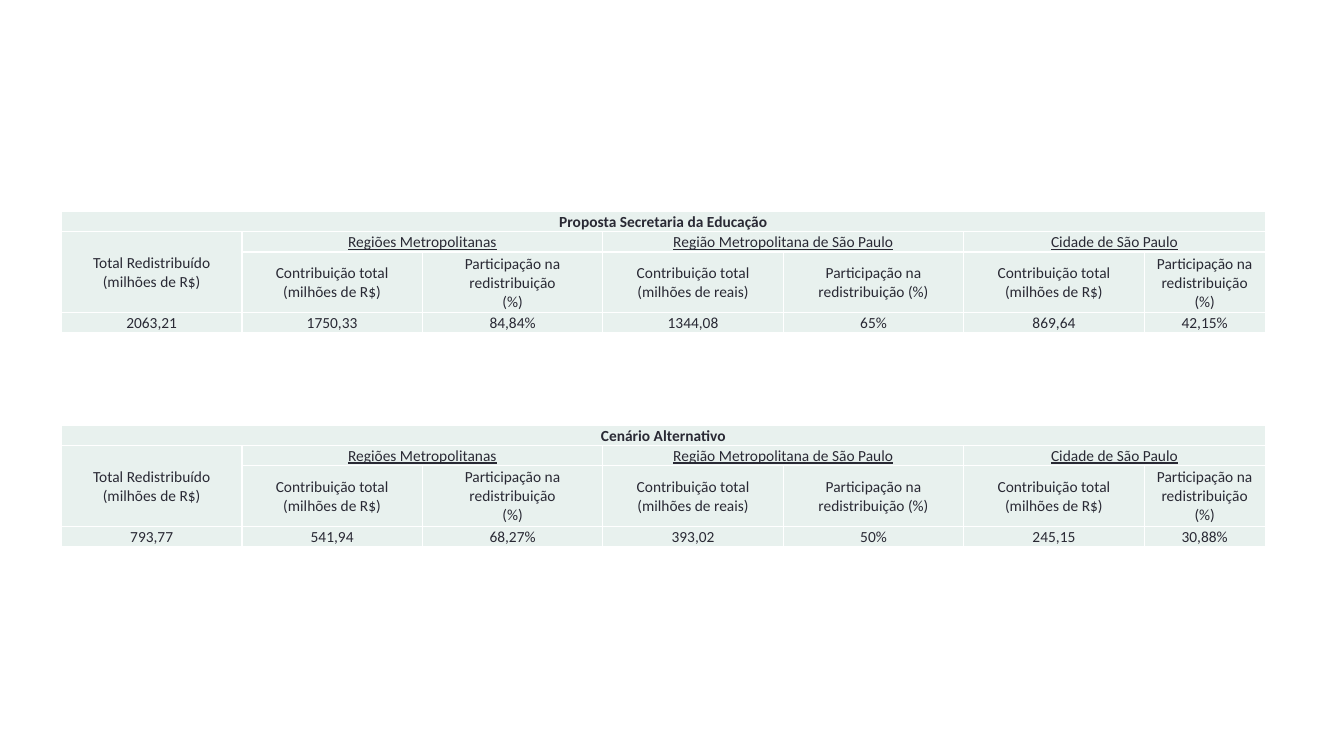
from dataclasses import dataclass

from lxml.etree import SubElement
from pptx import Presentation
from pptx.dml.color import RGBColor
from pptx.enum.text import MSO_ANCHOR, PP_ALIGN
from pptx.oxml.ns import qn
from pptx.util import Inches, Pt


@dataclass(frozen=True)
class Theme:
    """Hold the colours, font and sizes of the slide."""
    font: str = "Calibri"
    size: int = 11
    text: str = "292934"
    fill: str = "E8F1EE"
    border: str = "FFFFFF"
    border_width: int = 1


THEME = Theme()
COL_WIDTHS = [1.79] * 6 + [1.2]
ROW_HEIGHTS = [0.2, 0.2, 0.6, 0.2]
TOTAL = "Total Redistribuído\n(milhões de R$)"
REGIONS = ["Regiões Metropolitanas", "Região Metropolitana de São Paulo", "Cidade de São Paulo"]
CONTRIBUTION = "Contribuição total\n(milhões de R$)"
SHARE = "Participação na redistribuição\n(%)"
MEASURES = [
    CONTRIBUTION, SHARE,
    "Contribuição total\n(milhões de reais)", "Participação na redistribuição (%)",
    CONTRIBUTION, SHARE,
]
SCENARIOS = [
    (2.1, "Proposta Secretaria da Educação",
     ["2063,21", "1750,33", "84,84%", "1344,08", "65%", "869,64", "42,15%"]),
    (4.22, "Cenário Alternativo",
     ["793,77", "541,94", "68,27%", "393,02", "50%", "245,15", "30,88%"]),
]


def style_cell(cell):
    """Give a cell its borders, fill and margins."""
    tc_pr = cell._tc.get_or_add_tcPr()
    for side in ("lnL", "lnR", "lnT", "lnB"):
        ln = SubElement(tc_pr, qn(f"a:{side}"), w=str(Pt(THEME.border_width)))
        SubElement(SubElement(ln, qn("a:solidFill")), qn("a:srgbClr"), val=THEME.border)
    cell.fill.solid()
    cell.fill.fore_color.rgb = RGBColor.from_string(THEME.fill)
    cell.margin_left = cell.margin_right = cell.margin_top = Inches(0.01)
    cell.margin_bottom = 0


def write_cell(cell, text, anchor=MSO_ANCHOR.BOTTOM, bold=False, underline=False):
    """Write centred text in a cell, with a line break at each newline."""
    cell.vertical_anchor = anchor
    p = cell.text_frame.paragraphs[0]
    p.alignment = PP_ALIGN.CENTER
    for i, line in enumerate(text.split("\n")):
        if i:
            p.add_line_break()
        r = p.add_run()
        r.text = line
        r.font.name = THEME.font
        r.font.size = Pt(THEME.size)
        r.font.bold = bold
        r.font.underline = underline
        r.font.color.rgb = RGBColor.from_string(THEME.text)


def add_scenario_table(slide, top, title, values):
    """Add the table of one redistribution scenario."""
    frame = slide.shapes.add_table(
        len(ROW_HEIGHTS), len(COL_WIDTHS), Inches(0.61), Inches(top),
        Inches(sum(COL_WIDTHS)), Inches(sum(ROW_HEIGHTS)))
    table = frame.table
    table.first_row = table.horz_banding = False
    for column, width in zip(table.columns, COL_WIDTHS):
        column.width = Inches(width)
    for row, height in zip(table.rows, ROW_HEIGHTS):
        row.height = Inches(height)
    for cell in table.iter_cells():
        style_cell(cell)

    table.cell(0, 0).merge(table.cell(0, len(COL_WIDTHS) - 1))
    write_cell(table.cell(0, 0), title, bold=True)
    table.cell(1, 0).merge(table.cell(2, 0))
    write_cell(table.cell(1, 0), TOTAL, MSO_ANCHOR.MIDDLE)
    for i, region in enumerate(REGIONS):
        col = 1 + 2 * i
        table.cell(1, col).merge(table.cell(1, col + 1))
        write_cell(table.cell(1, col), region, underline=True)
    for col, measure in enumerate(MEASURES, 1):
        write_cell(table.cell(2, col), measure, MSO_ANCHOR.MIDDLE)
    for col, value in enumerate(values):
        write_cell(table.cell(3, col), value)


def main():
    """Build the slide and save it."""
    prs = Presentation()
    prs.slide_width, prs.slide_height = Inches(13.33), Inches(7.5)
    slide = prs.slides.add_slide(prs.slide_layouts[6])
    for top, title, values in SCENARIOS:
        add_scenario_table(slide, top, title, values)
    prs.save("out.pptx")


if __name__ == "__main__":
    main()
